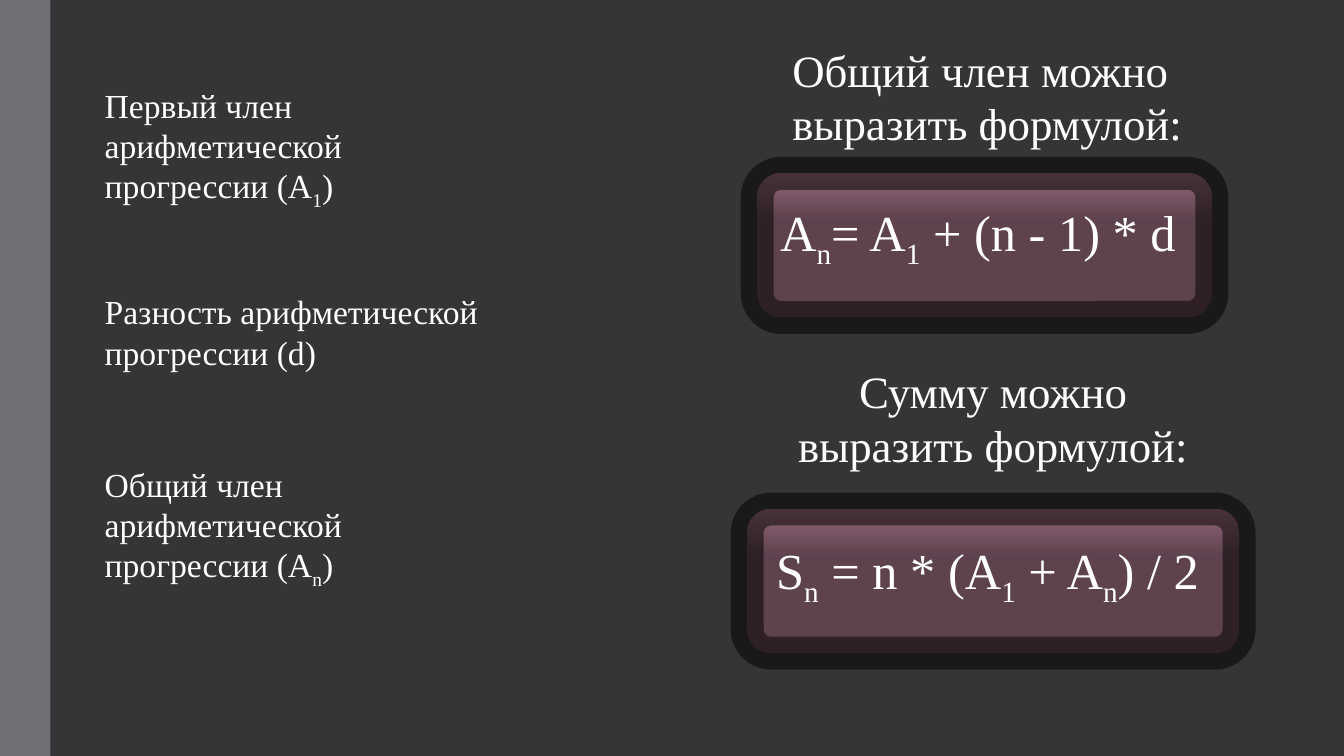
from lxml import etree
from pptx import Presentation
from pptx.dml.color import RGBColor
from pptx.enum import shapes, text
from pptx.oxml import ns
from pptx.util import Inches, Pt


def color(hex_string):
    return RGBColor.from_string(hex_string)


def add_text(content, left, top, width, height, size=24, align=text.PP_ALIGN.LEFT):
    """Write a text box; the character after each underscore is a subscript."""
    frame = slide.shapes.add_textbox(
        Inches(left), Inches(top), Inches(width), Inches(height)).text_frame
    frame.word_wrap = True
    frame.auto_size = text.MSO_AUTO_SIZE.SHAPE_TO_FIT_TEXT
    paragraph = frame.paragraphs[0]
    paragraph.alignment = align
    first, *rest = content.split("_")
    pieces = [(first, False)]
    for part in rest:
        pieces += [(part[0], True), (part[1:], False)]
    for piece, is_subscript in pieces:
        run = paragraph.add_run()
        run.text = piece
        run.font.name = "Times New Roman"
        run.font.size = Pt(size)
        run.font.color.rgb = color("FFFFFF")
        if is_subscript:
            run.font._element.set("baseline", "-25000")


presentation = Presentation()
presentation.slide_width = Inches(13.33)
presentation.slide_height = Inches(7.5)
slide = presentation.slides.add_slide(presentation.slide_layouts[6])

# Background and side band
slide.background.fill.solid()
slide.background.fill.fore_color.rgb = color("353537")
band = slide.shapes.add_shape(
    shapes.MSO_SHAPE.RECTANGLE, 0, 0, Inches(0.5), Inches(7.5))
band.shadow.inherit = False
band.fill.solid()
band.fill.fore_color.rgb = color("6F6F74")
band.line.fill.background()

# Formula panels: gradient fill, wide half-transparent border
for left, top, width in [(7.41, 5.05, 4.88), (7.51, 1.72, 4.51)]:
    panel = slide.shapes.add_shape(
        shapes.MSO_SHAPE.ROUNDED_RECTANGLE,
        Inches(left), Inches(top), Inches(width), Inches(1.43))
    panel.shadow.inherit = False
    panel.fill.gradient()
    panel.fill.gradient_angle = 90
    stops = [(0.67, "5E424E"), (1, "926678")]
    for stop, (position, shade) in zip(panel.fill.gradient_stops, stops):
        stop.position = position
        stop.color.rgb = color(shade)
    panel.line.width = Pt(23.5)
    panel.line.color.rgb = color("000000")
    border_color = panel.line._ln.find(".//" + ns.qn("a:srgbClr"))
    etree.SubElement(border_color, ns.qn("a:alpha"), val="51000")

# Formulas and their headings
add_text("A_n= A_1 + (n - 1) * d", 7.64, 1.95, 4.76, 0.71, size=36)
add_text("Общий член можно выразить формулой:", 7.76, 0.37, 4.51, 1.18, size=32)
add_text("Сумму можно выразить формулой:", 7.76, 3.56, 4.18, 1.18, size=32,
         align=text.PP_ALIGN.CENTER)
add_text("S_n = n * (A_1 + A_n) / 2", 7.6, 5.3, 4.58, 0.71, size=36)

# Terms of the progression
terms = [
    ("Первый член арифметической прогрессии (A_1)", 0.79, 4.22, 1.31),
    ("Разность арифметической прогрессии (d)", 2.84, 4.14, 0.91),
    ("Общий член арифметической прогрессии (A_n)", 4.55, 3.96, 1.31),
]
for term, top, width, height in terms:
    add_text(term, 0.94, top, width, height)

presentation.save("out.pptx")
